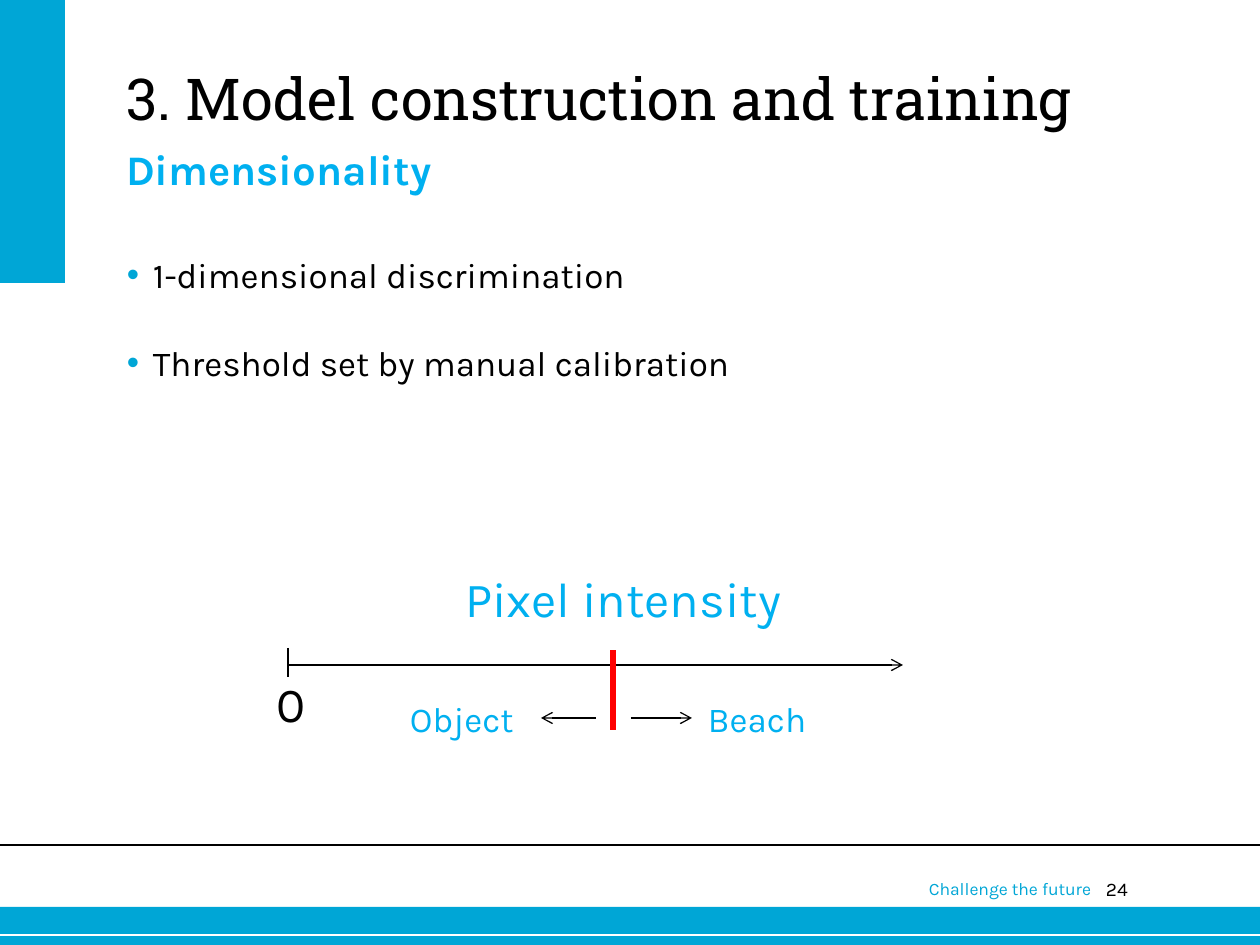
"""Build the slide on one-dimensional discrimination with a pixel-intensity axis."""
from dataclasses import dataclass
from typing import Any

from pptx import Presentation
from pptx.dml.color import RGBColor
from pptx.enum.shapes import MSO_CONNECTOR, MSO_SHAPE
from pptx.enum.text import MSO_ANCHOR, MSO_AUTO_SIZE, PP_ALIGN
from pptx.oxml.ns import qn
from pptx.util import Emu, Pt
from lxml import etree

RECTANGLE = MSO_SHAPE.RECTANGLE
STRAIGHT = MSO_CONNECTOR.STRAIGHT
LEFT, RIGHT = PP_ALIGN.LEFT, PP_ALIGN.RIGHT
TOP, NO_FIT = MSO_ANCHOR.TOP, MSO_AUTO_SIZE.NONE

EMU_PER_PX = 914400 / 126
WIDTH, HEIGHT = 1260, 945
BULLET_INDENT = 26
LINE_PITCH = 25
BODY_FONT, TITLE_FONT = "Karla", "Roboto Slab"
CYAN, SKY, BLACK, WHITE, RED = "00A6D6", "00B0F0", "000000", "FFFFFF", "FF0000"


@dataclass(frozen=True)
class Box:
    left: int
    top: int
    width: int
    height: int


@dataclass(frozen=True)
class Line:
    start: tuple[int, int]
    end: tuple[int, int]
    color: str = BLACK
    weight: float = 0.75
    arrow: bool = False


@dataclass(frozen=True)
class Text:
    box: Box
    lines: tuple[str, ...]
    size: int
    color: str = BLACK
    font: str = BODY_FONT
    bold: bool = False
    align: PP_ALIGN = LEFT
    pitch: int | None = None
    bullet: bool = False


BANDS = (Box(0, 907, WIDTH, 38), Box(0, 0, 65, 283))

LINES = (
    Line((0, 935), (WIDTH, 935), WHITE),
    Line((0, 845), (WIDTH, 845), weight=1),
    Line((288, 665), (903, 665), arrow=True),
    Line((288, 648), (288, 677)),
    Line((613, 730), (613, 650), RED, 3),
    Line((631, 718), (692, 718), arrow=True),
    Line((596, 718), (541, 718), arrow=True),
)

TITLE = Text(Box(126, 63, 987, 76), ("3. Model construction and training",), 33, font=TITLE_FONT)
BULLETS = Text(
    Box(127, 252, 984, 260),
    ("1-dimensional discrimination", "Threshold set by manual calibration"),
    20, pitch=LINE_PITCH, bullet=True,
)
SUBTITLE = Text(Box(126, 150, 954, 67), ("Dimensionality",), 24, SKY, bold=True, pitch=LINE_PITCH)

LABELS = (
    Text(Box(465, 568, 334, 59), ("Pixel intensity",), 28, SKY),
    Text(Box(276, 673, 81, 59), ("0",), 28),
    Text(Box(708, 697, 144, 43), ("Beach",), 20, SKY),
    Text(Box(410, 697, 144, 43), ("Object",), 20, SKY),
    Text(Box(1066, 877, 62, 35), ("24",), 11, align=RIGHT),
    Text(Box(929, 878, 180, 26), ("Challenge the future",), 10, CYAN),
)


def px(length: int) -> Emu:
    """Convert pixels to EMU."""
    return Emu(round(length * EMU_PER_PX))


def rgb(color: str) -> RGBColor:
    """Turn a hex string into a colour."""
    return RGBColor.from_string(color)


def apply(target: Any, values: dict[str, Any]) -> None:
    """Set every attribute named in the values."""
    for name, value in values.items():
        setattr(target, name, value)


def add_child(parent: Any, tag: str, **attributes: str) -> Any:
    """Append a DrawingML element to its parent."""
    return etree.SubElement(parent, qn(tag), attributes)


def draw_band(slide: Any, box: Box) -> None:
    """Draw a plain cyan rectangle."""
    shape = slide.shapes.add_shape(RECTANGLE, px(box.left), px(box.top), px(box.width), px(box.height))
    shape.shadow.inherit = False
    shape.fill.solid()
    shape.fill.fore_color.rgb = rgb(CYAN)
    shape.line.fill.background()


def draw_line(slide: Any, line: Line) -> None:
    """Draw a straight connector, with an arrowhead at its end if asked."""
    connector = slide.shapes.add_connector(STRAIGHT, *map(px, line.start + line.end))
    connector.line.color.rgb = rgb(line.color)
    connector.line.width = Pt(line.weight)
    if line.arrow:
        add_child(connector.line._get_or_add_ln(), "a:tailEnd", type="arrow")
    add_child(connector._element.spPr, "a:effectLst")


def set_bullet(paragraph: Any, bullet: bool) -> None:
    """Give the paragraph a hanging cyan bullet, or none."""
    properties = paragraph._p.get_or_add_pPr()
    indent = px(BULLET_INDENT) if bullet else 0
    properties.set("marL", str(indent))
    properties.set("indent", str(-indent))
    if bullet:
        add_child(add_child(properties, "a:buClr"), "a:srgbClr", val=CYAN)
        add_child(properties, "a:buChar", char="•")
    else:
        add_child(properties, "a:buNone")


def fill_text(shape: Any, text: Text) -> None:
    """Place a text shape and write its formatted lines."""
    box = text.box
    apply(shape, {"left": px(box.left), "top": px(box.top),
                  "width": px(box.width), "height": px(box.height)})
    frame = shape.text_frame
    apply(frame, {"word_wrap": True, "auto_size": NO_FIT, "vertical_anchor": TOP,
                  "margin_left": 0, "margin_right": 0, "margin_top": 0, "margin_bottom": 0})
    frame.text = "\n".join(text.lines)
    for index, paragraph in enumerate(frame.paragraphs):
        set_bullet(paragraph, text.bullet)
        apply(paragraph, {"alignment": text.align,
                          "line_spacing": Pt(text.pitch) if text.pitch else 1.0,
                          "space_before": Pt(LINE_PITCH if index else 0)})
        for run in paragraph.runs:
            apply(run.font, {"name": text.font, "size": Pt(text.size), "bold": text.bold})
            run.font.color.rgb = rgb(text.color)


def draw_label(slide: Any, text: Text) -> None:
    """Add a text box and fill it."""
    box = text.box
    shape = slide.shapes.add_textbox(px(box.left), px(box.top), px(box.width), px(box.height))
    fill_text(shape, text)


def main() -> None:
    """Build and save the presentation."""
    presentation = Presentation()
    apply(presentation, {"slide_width": px(WIDTH), "slide_height": px(HEIGHT)})
    slide = presentation.slides.add_slide(presentation.slide_layouts.get_by_name("Two Content"))
    for placeholder, text in zip(slide.placeholders, (TITLE, BULLETS, SUBTITLE)):
        fill_text(placeholder, text)
    for band in BANDS:
        draw_band(slide, band)
    for line in LINES:
        draw_line(slide, line)
    for label in LABELS:
        draw_label(slide, label)
    presentation.save("out.pptx")


if __name__ == "__main__":
    main()
